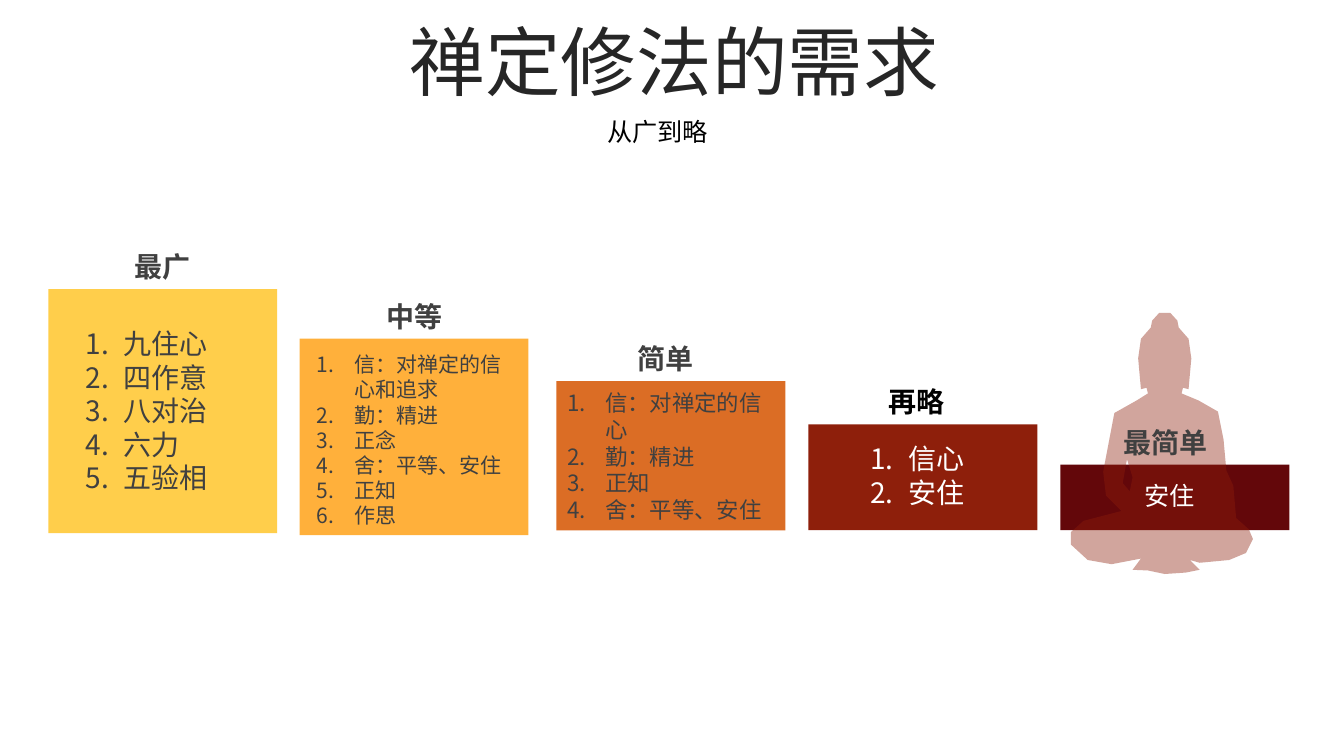
from lxml import etree
from pptx import Presentation
from pptx.dml.color import RGBColor
from pptx.enum.lang import MSO_LANGUAGE_ID
from pptx.enum.shapes import MSO_SHAPE
from pptx.enum.text import MSO_ANCHOR, MSO_AUTO_SIZE, PP_ALIGN
from pptx.oxml.ns import qn
from pptx.util import Pt

RECTANGLE = MSO_SHAPE.RECTANGLE
LEFT, CENTER = PP_ALIGN.LEFT, PP_ALIGN.CENTER
TOP, MIDDLE = MSO_ANCHOR.TOP, MSO_ANCHOR.MIDDLE
GROW, FIXED = MSO_AUTO_SIZE.SHAPE_TO_FIT_TEXT, MSO_AUTO_SIZE.NONE
CHINESE = MSO_LANGUAGE_ID.SIMPLIFIED_CHINESE

FONT = "Arial"
GRAY, BLACK, WHITE = "404040", "000000", "FFFFFF"
BAR_WIDTH = 163.5
HEADING_HEIGHT = 31.7
NUMBER_INDENT = 27
LABEL_INSETS = (0, 3.6, 7.2, 3.6)
DEFAULT_INSETS = (7.2, 3.6, 7.2, 3.6)

HEAD_AXIS = 832
HALF_HEAD = [(4, 223.5), (9, 229), (10, 234), (17, 242), (19, 256),
             (17, 278), (13, 277), (12, 281)]
RIGHT_SIDE = [(856, 286), (870, 294), (874, 314), (876, 336), (881, 347), (883, 370),
              (892, 378), (895, 385), (890, 395), (878, 400), (857, 402), (850, 400)]
FEET = [(857, 407), (847, 409), (832, 410), (820, 407.5), (809, 407), (815, 399)]
LEFT_SIDE = [(794, 403), (777, 400), (765, 389), (765, 380), (774, 372), (801, 365),
             (790, 354), (788, 337), (796, 295), (812, 286)]
ARM_GAP = [(805, 328), (802, 345), (807, 351), (809, 341)]

STAGES = [
    dict(title="最广", fill="FFCE4B", bar=(34.5, 206.6, 174.2), heading=(40.3, 158.4),
         body=(61.2, 229.7, 141.8, 128.2), size=20,
         items=["九住心", "四作意", "八对治", "六力", "五验相"]),
    dict(title="中等", fill="FFB03B", bar=(214, 241.9, 140.4), heading=(226.8, 145.4),
         body=(226.1, 247.7, 145.4, 134.6), size=15,
         items=["信：对禅定的信心和追求", "勤：精进", "正念", "舍：平等、安住", "正知", "作思"]),
    dict(title="简单", fill="DB6D25", bar=(397.5, 272.2, 106.6), heading=(399.6, 158.4),
         body=(405.4, 274.3, 153.4, 104.4), size=16,
         items=["信：对禅定的信心", "勤：精进", "正知", "舍：平等、安住"]),
    dict(title="再略", fill="8E1F0B", bar=(577.5, 303.1, 75.6), heading=(578.9, 159.1),
         body=(607.7, 311.8, 102.2, 55.4), size=20, title_color=BLACK,
         color=WHITE, align=CENTER, items=["信心", "安住"]),
    dict(title="最简单", fill="63070A", bar=(757.5, 331.9, 46.8), heading=(777.6, 117.4),
         body=(780.5, 339.8, 117.4, 28.8), size=18,
         color=WHITE, align=CENTER, numbered=False, items=["安住"]),
]


def rgb(color):
    return RGBColor.from_string(color)


def buddha_body():
    right_head = [(HEAD_AXIS + offset, y) for offset, y in HALF_HEAD]
    left_head = [(HEAD_AXIS - offset, y) for offset, y in reversed(HALF_HEAD)]
    return right_head + RIGHT_SIDE + FEET + LEFT_SIDE + left_head


def write(paragraph, text, *, size, color=GRAY, bold=False, align=LEFT,
          numbered=False, line_spacing=None):
    paragraph.alignment = align
    if line_spacing:
        paragraph.line_spacing = line_spacing
    if numbered:
        properties = paragraph._p.get_or_add_pPr()
        properties.set("marL", str(Pt(NUMBER_INDENT)))
        properties.set("indent", str(-Pt(NUMBER_INDENT)))
        etree.SubElement(properties, qn("a:buFont"), typeface="+mj-lt")
        etree.SubElement(properties, qn("a:buAutoNum"), type="arabicPeriod")
    run = paragraph.add_run()
    run.text = text
    run.font.name = FONT
    run.font.size = Pt(size)
    run.font.bold = bold
    run.font.color.rgb = rgb(color)
    run.font.language_id = CHINESE


class StageSlide:
    def __init__(self, presentation):
        self.shapes = presentation.slides.add_slide(presentation.slide_layouts[6]).shapes

    def paint(self, shape, color):
        shape.shadow.inherit = False
        shape.fill.solid()
        shape.fill.fore_color.rgb = rgb(color)
        shape.line.fill.background()

    def bar(self, left, top, height, color):
        self.paint(self.shapes.add_shape(
            RECTANGLE, Pt(left), Pt(top), Pt(BAR_WIDTH), Pt(height)), color)

    def silhouette(self, body, gap, color, opacity):
        builder = self.shapes.build_freeform(*map(Pt, body[0]))
        builder.add_line_segments([tuple(map(Pt, point)) for point in body[1:]])
        builder.move_to(*map(Pt, gap[0]))
        builder.add_line_segments([tuple(map(Pt, point)) for point in gap[1:]])
        figure = builder.convert_to_shape()
        self.paint(figure, color)
        tint = figure._element.spPr.find(qn("a:solidFill"))[0]
        etree.SubElement(tint, qn("a:alpha"), val=str(opacity * 1000))

    def text(self, box, lines, insets=LABEL_INSETS, anchor=TOP, fit=GROW, wrap=True, **style):
        frame = self.shapes.add_textbox(*map(Pt, box)).text_frame
        frame.word_wrap = wrap
        frame.auto_size = fit
        frame.vertical_anchor = anchor
        frame.margin_left, frame.margin_top, frame.margin_right, frame.margin_bottom = map(Pt, insets)
        for index, line in enumerate(lines):
            paragraph = frame.add_paragraph() if index else frame.paragraphs[0]
            write(paragraph, line, **style)


def main():
    presentation = Presentation()
    presentation.slide_width, presentation.slide_height = Pt(960), Pt(540)
    slide = StageSlide(presentation)

    for stage in reversed(STAGES):
        slide.bar(*stage["bar"], stage["fill"])
    slide.silhouette(buddha_body(), ARM_GAP, "8E1F0B", 40)

    slide.text((25.9, 18.7, 911.5, 56.9), ["禅定修法的需求"], DEFAULT_INSETS, MIDDLE, FIXED,
               size=54, color="262626", align=CENTER, line_spacing=0.9)
    for stage in reversed(STAGES):
        left, width = stage["heading"]
        top = stage["bar"][1] - HEADING_HEIGHT
        slide.text((left, top, width, HEADING_HEIGHT), [stage["title"]], size=20, bold=True,
                   color=stage.get("title_color", GRAY), align=CENTER)
        slide.text(stage["body"], stage["items"], size=stage["size"],
                   color=stage.get("color", GRAY), align=stage.get("align", LEFT),
                   numbered=stage.get("numbered", True))
    slide.text((426.2, 79.9, 87.1, 28.8), ["从广到略"], DEFAULT_INSETS, wrap=False,
               size=18, color=BLACK, align=CENTER)

    presentation.save("out.pptx")


if __name__ == "__main__":
    main()
